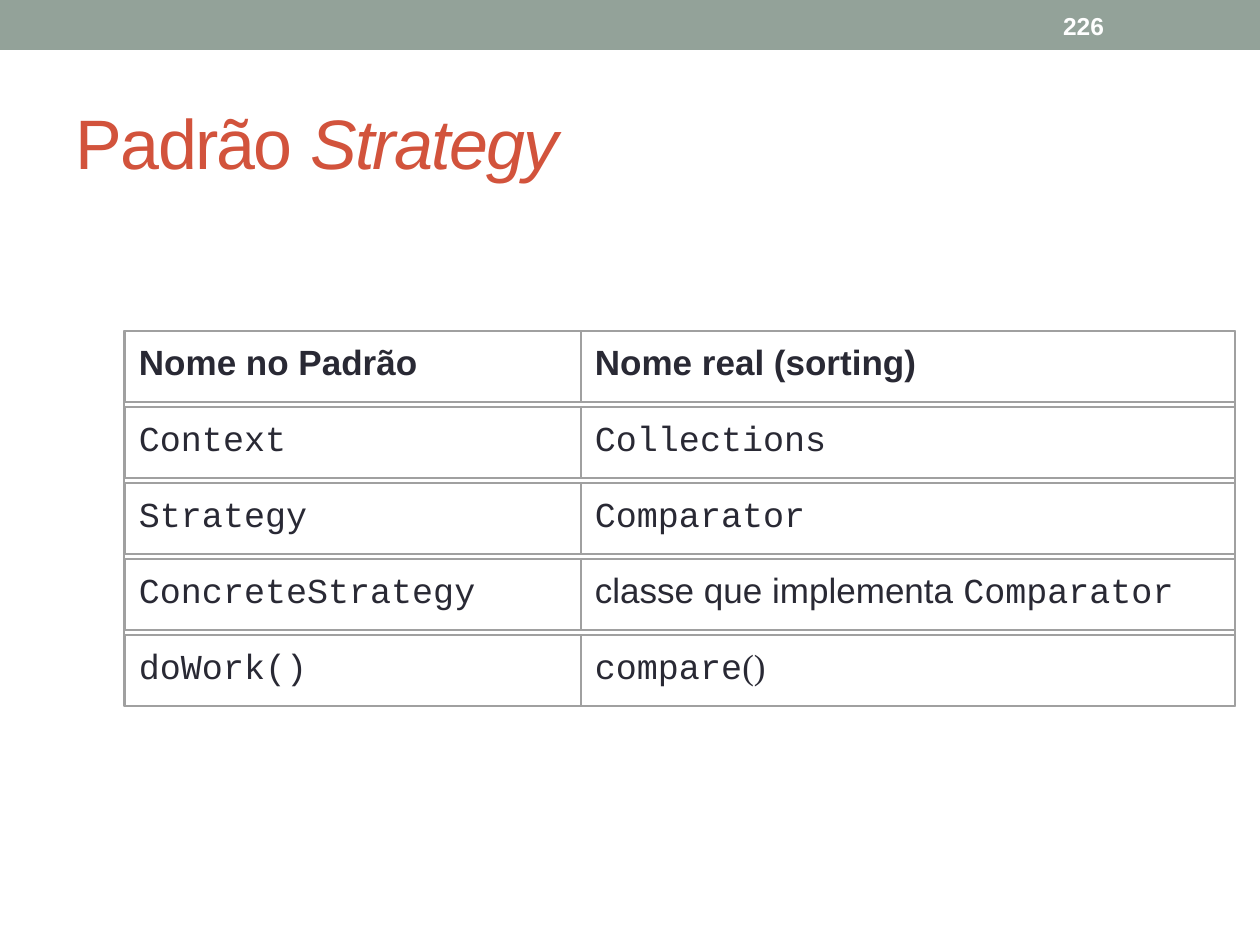
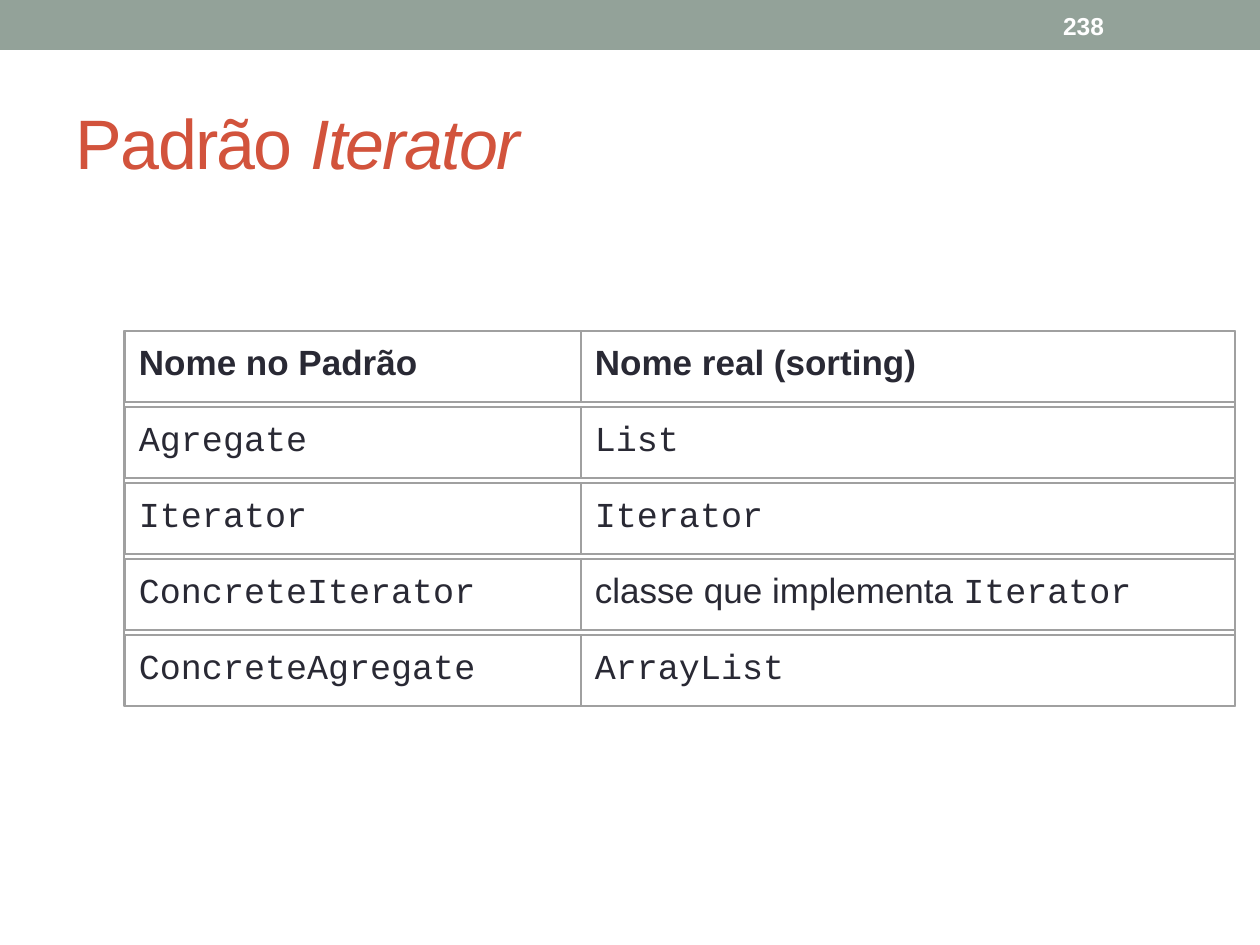
import pptx
import pptx.dml.color
import pptx.enum.shapes
import pptx.enum.text
import pptx.util

PX_PER_INCH = 126
SLIDE_BOX = (0, 0, 1260, 945)
BAND_BOX = (0, 0, 1260, 50)
TITLE_BOX = (63, 73, 1134, 136)
TABLE_BOX = (124, 331, 1111, 375)

SAGE = pptx.dml.color.RGBColor(0x93, 0xA2, 0x99)
RUST = pptx.dml.color.RGBColor(0xD2, 0x53, 0x3C)
INK = pptx.dml.color.RGBColor(0x29, 0x29, 0x34)
RULE = pptx.dml.color.RGBColor(0xA0, 0xA0, 0xA0)
WHITE = pptx.dml.color.RGBColor(0xFF, 0xFF, 0xFF)

SANS = "Arial"
MONO = "Courier New"
SERIF = "Times New Roman"

TITLE_ONLY_LAYOUT = 5
COLUMN_WIDTHS = (456, 654)
ROW_HEIGHT = 71
HEADER = ("Nome no Padrão", "Nome real (sorting)")

PATTERNS = (
    ("226", "Strategy", (
        ("Context", "Collections"),
        ("Strategy", "Comparator"),
        ("ConcreteStrategy", (("classe que implementa ", SANS), ("Comparator", MONO))),
        ("doWork()", (("compare", MONO), ("()", SERIF))),
    )),
    ("238", "Iterator", (
        ("Agregate", "List"),
        ("Iterator", "Iterator"),
        ("ConcreteIterator", (("classe que implementa ", SANS), ("Iterator", MONO))),
        ("ConcreteAgregate", "ArrayList"),
    )),
)


def px(length):
    return pptx.util.Emu(round(length * 914400 / PX_PER_INCH))


def scaled(*lengths):
    return [px(length) for length in lengths]


def write(frame, text, *, size, color, font=SANS, bold=False, italic=False, spacing=None):
    paragraph = frame.paragraphs[0]
    paragraph.alignment = pptx.enum.text.PP_ALIGN.LEFT
    run = paragraph.add_run()
    run.text = text
    run.font.name = font
    run.font.size = pptx.util.Pt(size)
    run.font.bold = bold
    run.font.italic = italic
    run.font.color.rgb = color
    if spacing is not None:
        run.font.element.set("spc", str(spacing)) if hasattr(run.font, "element") else \
            run._r.get_or_add_rPr().set("spc", str(spacing))


def set_frame(frame, anchor, inset_x, inset_y):
    frame.word_wrap = True
    frame.auto_size = pptx.enum.text.MSO_AUTO_SIZE.NONE
    frame.vertical_anchor = anchor
    frame.margin_left = frame.margin_right = px(inset_x)
    frame.margin_top = frame.margin_bottom = px(inset_y)


def add_rect(shapes, box, fill=None, line=None, line_width=0):
    rect = shapes.add_shape(pptx.enum.shapes.MSO_SHAPE.RECTANGLE, *scaled(*box))
    rect.shadow.inherit = False
    if fill is None:
        rect.fill.background()
    else:
        rect.fill.solid()
        rect.fill.fore_color.rgb = fill
    if line is None:
        rect.line.fill.background()
    else:
        rect.line.color.rgb = line
        rect.line.width = pptx.util.Pt(line_width)
    return rect


def add_band(slide, box, page):
    left, top, width, height = box
    add_rect(slide.shapes, box, fill=SAGE)
    number = slide.shapes.add_textbox(*scaled(left + width - 210, top + 3, 147, height - 5))
    set_frame(number.text_frame, pptx.enum.text.MSO_ANCHOR.MIDDLE, 13, 6)
    write(number.text_frame, page, size=14, color=WHITE, bold=True)


def add_title(slide, box, pattern):
    title = slide.shapes.title
    title.left, title.top, title.width, title.height = scaled(*box)
    set_frame(title.text_frame, pptx.enum.text.MSO_ANCHOR.MIDDLE, 13, 6)
    for text, italic in (("Padrão ", False), (pattern, True)):
        write(title.text_frame, text, size=40, color=RUST, italic=italic, spacing=-100)


def add_role_table(slide, box, roles):
    left, top, width, height = box
    rows = (HEADER, *roles)
    row_pitch = (height - ROW_HEIGHT) // (len(rows) - 1)
    grid = slide.shapes.add_group_shape().shapes
    for row, entries in enumerate(rows):
        is_header = row == 0
        cell_left = left + 1
        for entry, cell_width in zip(entries, COLUMN_WIDTHS):
            cell = add_rect(grid, (cell_left, top + row * row_pitch, cell_width, ROW_HEIGHT), line=RULE)
            set_frame(cell.text_frame, pptx.enum.text.MSO_ANCHOR.TOP, 14, 9)
            if isinstance(entry, str):
                entry = ((entry, SANS if is_header else MONO),)
            for text, font in entry:
                write(cell.text_frame, text, size=20, color=INK, font=font, bold=is_header)
            cell_left += cell_width
    add_rect(grid, box, line=RULE, line_width=0.75)


def add_pattern_slide(deck, page, pattern, roles):
    slide = deck.slides.add_slide(deck.slide_layouts[TITLE_ONLY_LAYOUT])
    add_band(slide, BAND_BOX, page)
    add_title(slide, TITLE_BOX, pattern)
    add_role_table(slide, TABLE_BOX, roles)


def main():
    deck = pptx.Presentation()
    deck.slide_width, deck.slide_height = scaled(*SLIDE_BOX[2:])
    for page, pattern, roles in PATTERNS:
        add_pattern_slide(deck, page, pattern, roles)
    deck.save("out.pptx")


if __name__ == "__main__":
    main()
